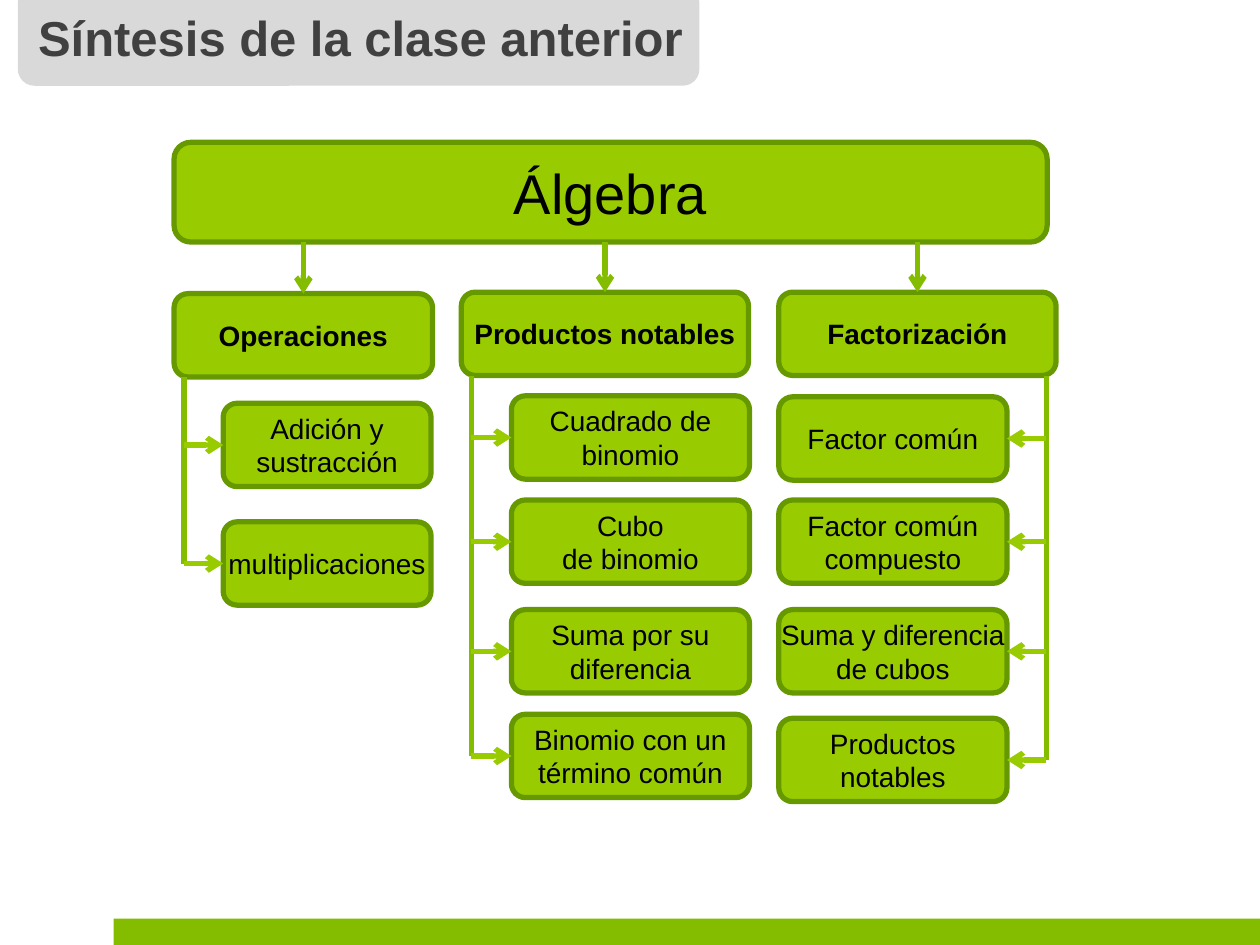
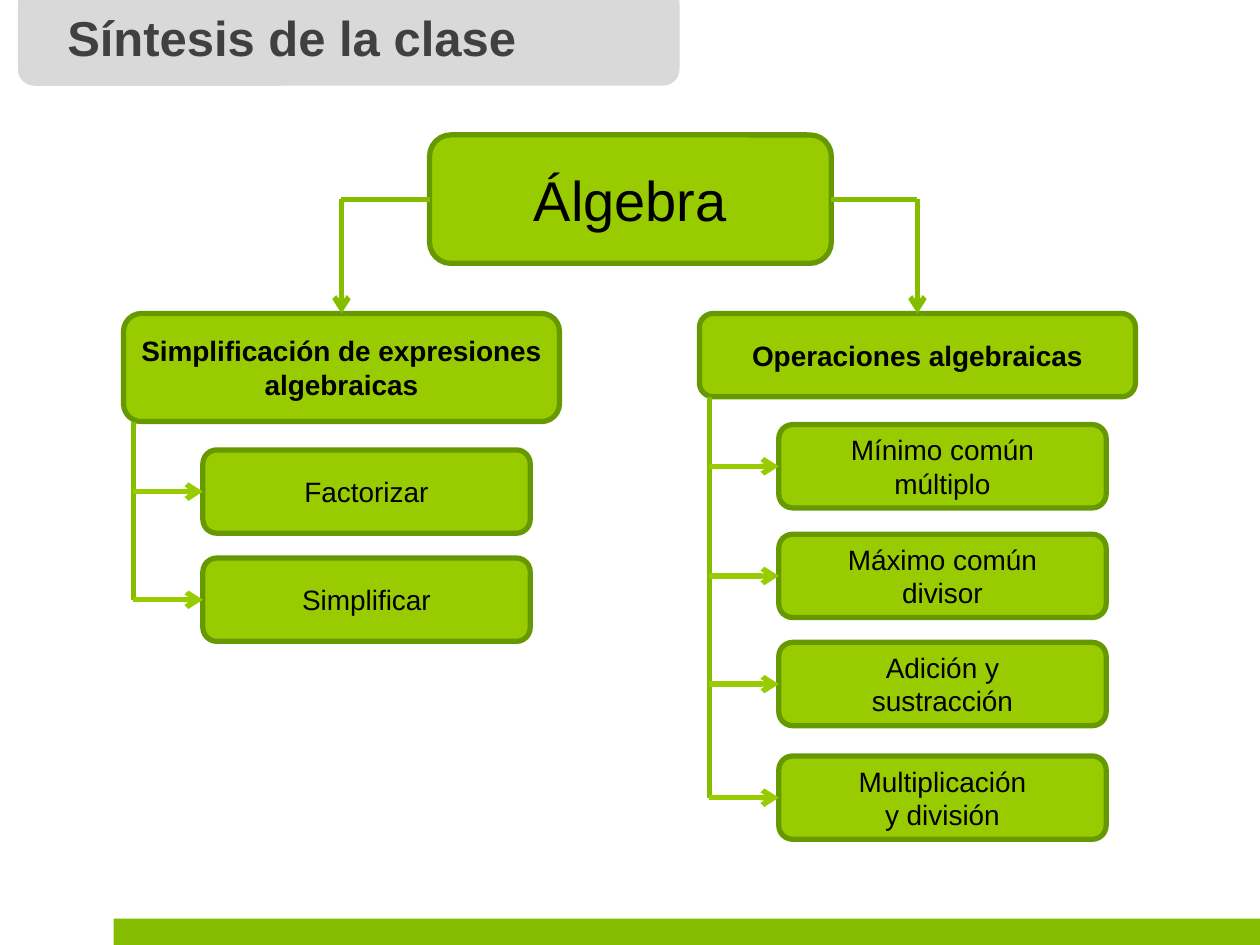
from dataclasses import dataclass

from lxml.etree import SubElement
from pptx import Presentation
from pptx.dml.color import RGBColor
from pptx.enum.shapes import MSO_CONNECTOR, MSO_SHAPE
from pptx.enum.text import MSO_ANCHOR, PP_ALIGN
from pptx.oxml.ns import qn
from pptx.util import Cm, Pt

TOP, LEFT, RIGHT = 0, 1, 3


@dataclass(frozen=True)
class Theme:
    font: str = "Arial"
    leaf: RGBColor = RGBColor(0x99, 0xCC, 0x00)
    border: RGBColor = RGBColor(0x66, 0x99, 0x00)
    accent: RGBColor = RGBColor(0x84, 0xBD, 0x00)
    band: RGBColor = RGBColor(0xD9, 0xD9, 0xD9)
    title: RGBColor = RGBColor(0x40, 0x40, 0x40)
    ink: RGBColor = RGBColor(0x00, 0x00, 0x00)
    title_size: Pt = Pt(28)
    root_size: Pt = Pt(32)
    node_size: Pt = Pt(16)
    stroke: Pt = Pt(3)
    node_height: float = 1.68
    spine_inset: Cm = Cm(0.2)


class ConceptMap:
    """Draws concept-map slides in one shared style."""

    def __init__(self, deck, theme):
        self.deck = deck
        self.theme = theme
        self.page = None

    def new_page(self, title, band_width, title_left, title_width):
        self.page = self.deck.slides.add_slide(self.deck.slide_layouts[6])
        self.shape(MSO_SHAPE.RECTANGLE, 2.29, 18.52, 23.11, 0.53, self.theme.accent)
        self.shape(MSO_SHAPE.ROUNDED_RECTANGLE, 0.36, -0.28, band_width, 2.01, self.theme.band)
        box = self.page.shapes.add_textbox(Cm(title_left), Cm(0.03), Cm(title_width), Cm(1.45))
        self.add_text(box, title, self.theme.title_size, self.theme.title, bold=True)

    def shape(self, kind, left, top, width, height, fill):
        shape = self.page.shapes.add_shape(kind, Cm(left), Cm(top), Cm(width), Cm(height))
        shape.shadow.inherit = False
        shape.fill.solid()
        shape.fill.fore_color.rgb = fill
        shape.line.fill.background()
        return shape

    def add_text(self, box, text, size, color, bold=False, wrap=False):
        frame = box.text_frame
        frame.word_wrap = wrap
        frame.vertical_anchor = MSO_ANCHOR.MIDDLE
        for number, line in enumerate(text.split("\n")):
            para = frame.add_paragraph() if number else frame.paragraphs[0]
            para.alignment = PP_ALIGN.CENTER
            span = para.add_run()
            span.text = line
            span.font.name = self.theme.font
            span.font.size = size
            span.font.bold = bold
            span.font.color.rgb = color

    def node(self, text, left, top, width, height=None, size=None, bold=False, wrap=False):
        box = self.shape(MSO_SHAPE.FLOWCHART_ALTERNATE_PROCESS, left, top, width,
                         height or self.theme.node_height, self.theme.leaf)
        box.line.color.rgb = self.theme.border
        box.line.width = self.theme.stroke
        self.add_text(box, text, size or self.theme.node_size, self.theme.ink, bold, wrap)
        return box

    def root(self, text, left, top, width, height):
        return self.node(text, left, top, width, height, self.theme.root_size)

    def head(self, text, left, top, width, height=None, wrap=False):
        return self.node(text, left, top, width, height, bold=True, wrap=wrap)

    def line(self, start, end, color, arrow=False):
        line = self.page.shapes.add_connector(MSO_CONNECTOR.STRAIGHT, *start, *end)
        line.line.color.rgb = color
        line.line.width = self.theme.stroke
        properties = line._element.spPr
        if arrow:
            SubElement(properties.find(qn("a:ln")), qn("a:tailEnd"), type="arrow")
        SubElement(properties, qn("a:effectLst"))
        return line

    def drop(self, start_y, head):
        center = head.left + head.width // 2
        arrow = self.line((center, start_y), (center, head.top), self.theme.accent, arrow=True)
        arrow.end_connect(head, TOP)

    def elbow(self, root, head, side):
        center = head.left + head.width // 2
        middle = root.top + root.height // 2
        edge = root.left if side == LEFT else root.left + root.width
        arm = self.line((edge, middle), (center, middle), self.theme.accent)
        arm.begin_connect(root, side)
        self.drop(middle, head)

    def branches(self, head, left, width, leaves, side=LEFT):
        inset = self.theme.spine_inset
        spine = head.left + (inset if side == LEFT else head.width - inset)
        boxes = [self.node(text, left, top, width) for top, text in leaves]
        last = boxes[-1]
        self.line((spine, head.top + head.height),
                  (spine, last.top + last.height // 2), self.theme.accent)
        for box in boxes:
            middle = box.top + box.height // 2
            edge = box.left if side == LEFT else box.left + box.width
            arrow = self.line((spine, middle), (edge, middle), self.theme.leaf, arrow=True)
            arrow.end_connect(box, side)


def previous_class(chart):
    chart.new_page("Síntesis de la clase anterior", 13.74, 0.43, 13.67)
    root = chart.root("Álgebra", 3.51, 2.87, 17.6, 2.01)
    operations = chart.head("Operaciones", 3.51, 5.92, 5.21)
    products = chart.head("Productos notables", 9.3, 5.89, 5.79)
    factoring = chart.head("Factorización", 15.7, 5.89, 5.59)
    for head in (operations, products, factoring):
        chart.drop(root.top + root.height, head)
    chart.branches(operations, 4.5, 4.19, [
        (8.13, "Adición y\nsustracción"),
        (10.52, "multiplicaciones"),
    ])
    chart.branches(products, 10.31, 4.8, [
        (7.98, "Cuadrado de\nbinomio"),
        (10.08, "Cubo\nde binomio"),
        (12.29, "Suma por su\ndiferencia"),
        (14.4, "Binomio con un\ntérmino común"),
    ])
    chart.branches(factoring, 15.7, 4.6, [
        (8, "Factor común"),
        (10.08, "Factor común\ncompuesto"),
        (12.29, "Suma y diferencia\nde cubos"),
        (14.48, "Productos\nnotables"),
    ], side=RIGHT)


def this_class(chart):
    chart.new_page("Síntesis de la clase", 13.34, 1.09, 9.58)
    root = chart.root("Álgebra", 8.66, 2.72, 8.1, 2.59)
    simplifying = chart.head("Simplificación de expresiones algebraicas",
                             2.49, 6.32, 8.79, 2.18, wrap=True)
    operations = chart.head("Operaciones algebraicas", 14.1, 6.32, 8.79)
    chart.elbow(root, simplifying, LEFT)
    chart.elbow(root, operations, RIGHT)
    chart.branches(simplifying, 4.09, 6.6, [
        (9.07, "Factorizar"),
        (11.25, "Simplificar"),
    ])
    chart.branches(operations, 15.7, 6.6, [
        (8.56, "Mínimo común\nmúltiplo"),
        (10.77, "Máximo común\ndivisor"),
        (12.95, "Adición y\nsustracción"),
        (15.24, "Multiplicación\ny división"),
    ])


def main():
    deck = Presentation()
    deck.slide_width = Cm(25.4)
    deck.slide_height = Cm(19.05)
    chart = ConceptMap(deck, Theme())
    previous_class(chart)
    this_class(chart)
    deck.save("out.pptx")


if __name__ == "__main__":
    main()
